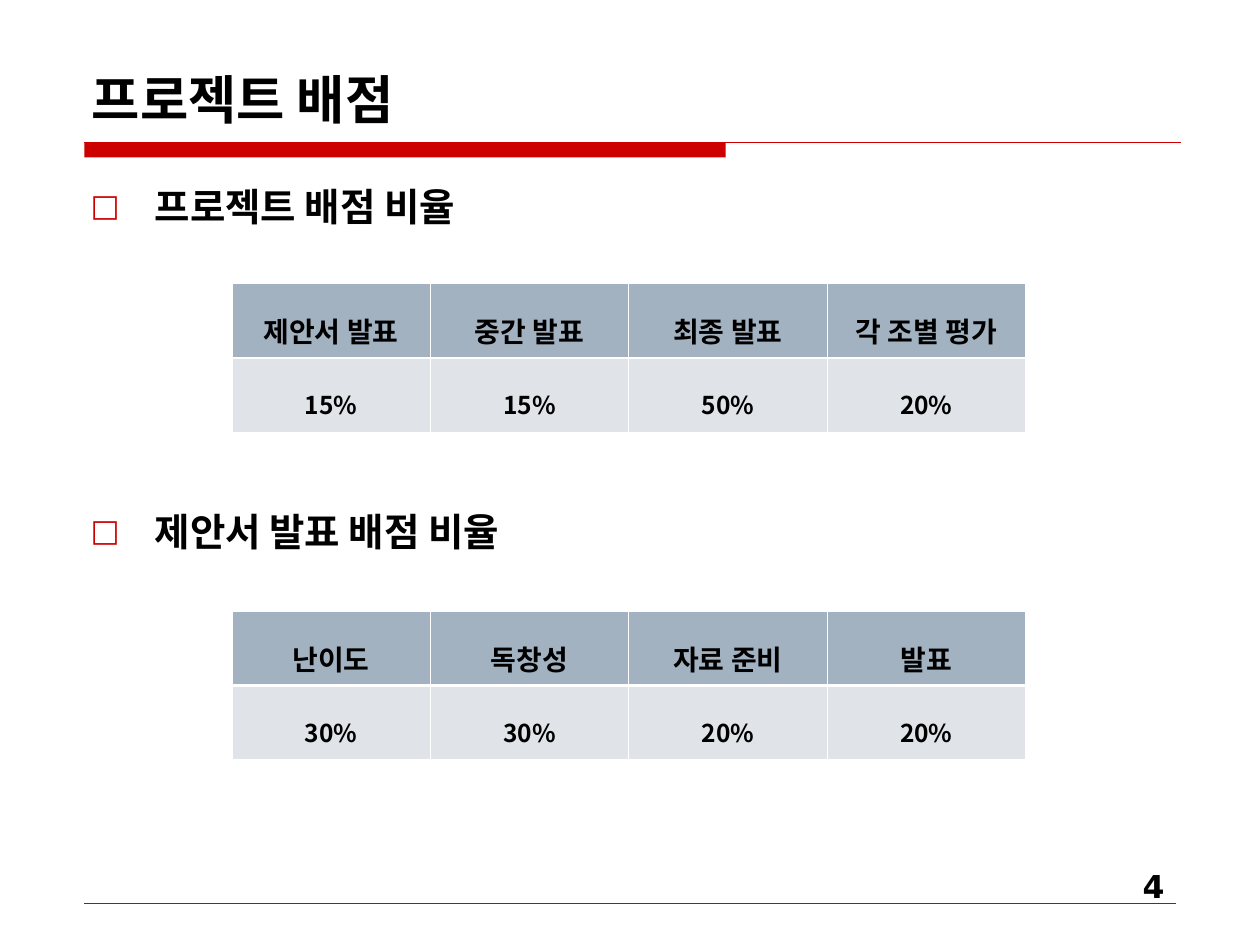
import pptx
import pptx.util
import pptx.dml.color
import pptx.enum.shapes
import pptx.enum.text
import pptx.oxml
import pptx.oxml.ns
from pptx.util import Inches

RED = pptx.dml.color.RGBColor(0xCC, 0x00, 0x00)
BLACK = pptx.dml.color.RGBColor(0x00, 0x00, 0x00)
HEADER_FILL = pptx.dml.color.RGBColor(0xA3, 0xB2, 0xC1)
VALUE_FILL = pptx.dml.color.RGBColor(0xE0, 0xE4, 0xE9)
WHITE = pptx.dml.color.RGBColor(0xFF, 0xFF, 0xFF)

KOREAN_FONT = "Noto Sans CJK KR"
LATIN_FONT = "DejaVu Sans"
ALIGN = pptx.enum.text.PP_ALIGN
ANCHOR = pptx.enum.text.MSO_ANCHOR

SECTIONS = [
    ("프로젝트 배점 비율",
     [("제안서 발표", "15%"), ("중간 발표", "15%"),
      ("최종 발표", "50%"), ("각 조별 평가", "20%")]),
    ("제안서 발표 배점 비율",
     [("난이도", "30%"), ("독창성", "30%"), ("자료 준비", "20%"), ("발표", "20%")]),
]
HEADING_TOPS = (1.33, 3.91)
TABLE_TOPS = (2.25, 4.85)


def add_xml(parent, tag, **attributes):
    child = pptx.oxml.parse_xml(f"<a:{tag} {pptx.oxml.ns.nsdecls('a')}/>")
    for name, value in attributes.items():
        child.set(name, str(value))
    parent.append(child)
    return child


def write_text(frame, text, size, font=KOREAN_FONT, align=ALIGN.LEFT,
               anchor=ANCHOR.TOP, line_spacing=None, space_before=None):
    frame.word_wrap = True
    frame.vertical_anchor = anchor
    paragraph = frame.paragraphs[0]
    paragraph.alignment = align
    paragraph.line_spacing = line_spacing
    if space_before is not None:
        paragraph.space_before = pptx.util.Pt(space_before)
    run = paragraph.add_run()
    run.text = text
    run.font.size = pptx.util.Pt(size)
    run.font.bold = True
    run.font.color.rgb = BLACK
    run.font.name = font
    add_xml(run.font._element, "ea", typeface=font)
    return paragraph


def add_text(slide, box, text, size, **text_format):
    frame = slide.shapes.add_textbox(*map(Inches, box)).text_frame
    return write_text(frame, text, size, **text_format)


def add_rule(slide, left, top, width, weight):
    rule = slide.shapes.add_connector(
        pptx.enum.shapes.MSO_CONNECTOR.STRAIGHT,
        Inches(left), Inches(top), Inches(left + width), Inches(top))
    rule.line.color.rgb = RED
    rule.line.width = pptx.util.Pt(weight)
    add_xml(rule._element.spPr, "effectLst")


def add_title(slide, left, top, width, height):
    add_text(slide, (left, top, width, height), "프로젝트 배점", 30,
             anchor=ANCHOR.BOTTOM)


def add_title_bar(slide, left, top, width, height):
    bar = slide.shapes.add_shape(
        pptx.enum.shapes.MSO_SHAPE.RECTANGLE,
        Inches(left), Inches(top), Inches(5.09), Inches(height))
    bar.shadow.inherit = False
    bar.fill.solid()
    bar.fill.fore_color.rgb = RED
    bar.line.fill.background()
    add_rule(slide, left, top, width, 0.75)


def add_heading(slide, text, left, top, width, height):
    paragraph = add_text(slide, (left, top, width, height), text, 22,
                         line_spacing=1.2, space_before=5.5)
    properties = paragraph._p.get_or_add_pPr()
    properties.set("marL", str(Inches(0.51)))
    properties.set("indent", str(-Inches(0.51)))
    add_xml(add_xml(properties, "buClr"), "srgbClr", val=RED)
    add_xml(properties, "buSzPct", val=80000)
    add_xml(properties, "buFont", typeface=LATIN_FONT)
    add_xml(properties, "buChar", char="□")


def set_borders(cell, **weights):
    """Draw white borders; weights are points keyed by lnL, lnR, lnT, lnB."""
    properties = cell._tc.get_or_add_tcPr()
    for position, (side, weight) in enumerate(weights.items()):
        border = add_xml(properties, side, w=pptx.util.Pt(weight))
        add_xml(add_xml(border, "solidFill"), "srgbClr", val=WHITE)
        properties.insert(position, border)


def add_score_table(slide, scores, left, top, width, height):
    table = slide.shapes.add_table(
        2, len(scores), Inches(left), Inches(top), Inches(width), Inches(height)).table
    table.horz_banding = False
    for column, score in enumerate(scores):
        for row, text in enumerate(score):
            is_header = row == 0
            cell = table.cell(row, column)
            cell.fill.solid()
            cell.fill.fore_color.rgb = HEADER_FILL if is_header else VALUE_FILL
            set_borders(cell, lnL=0.45, lnR=0.45,
                        lnT=0.45 if is_header else 1.47,
                        lnB=1.47 if is_header else 0.45)
            write_text(cell.text_frame, text, 16 if is_header else 14,
                       align=ALIGN.CENTER, line_spacing=1.5)
            cell.vertical_anchor = ANCHOR.MIDDLE


def add_footer(slide, left, top, width, height):
    add_rule(slide, left, 7.17, width, 0.25)
    add_text(slide, (7.17, top, 2.17, height), "4", 18,
             font=LATIN_FONT, align=ALIGN.RIGHT)


def main():
    deck = pptx.Presentation()
    deck.slide_width, deck.slide_height = Inches(10), Inches(7.5)
    slide = deck.slides.add_slide(deck.slide_layouts[6])
    add_title_bar(slide, 0.67, 1.13, 8.7, 0.12)
    add_title(slide, 0.63, 0.33, 8.75, 0.75)
    for (heading, scores), heading_top, table_top in zip(
            SECTIONS, HEADING_TOPS, TABLE_TOPS):
        add_heading(slide, heading, 0.62, heading_top, 8.75, 0.7)
        add_score_table(slide, scores, 1.84, table_top, 6.3, 1.18)
    add_footer(slide, 0.67, 6.83, 8.66, 0.52)
    deck.save("out.pptx")


if __name__ == "__main__":
    main()
